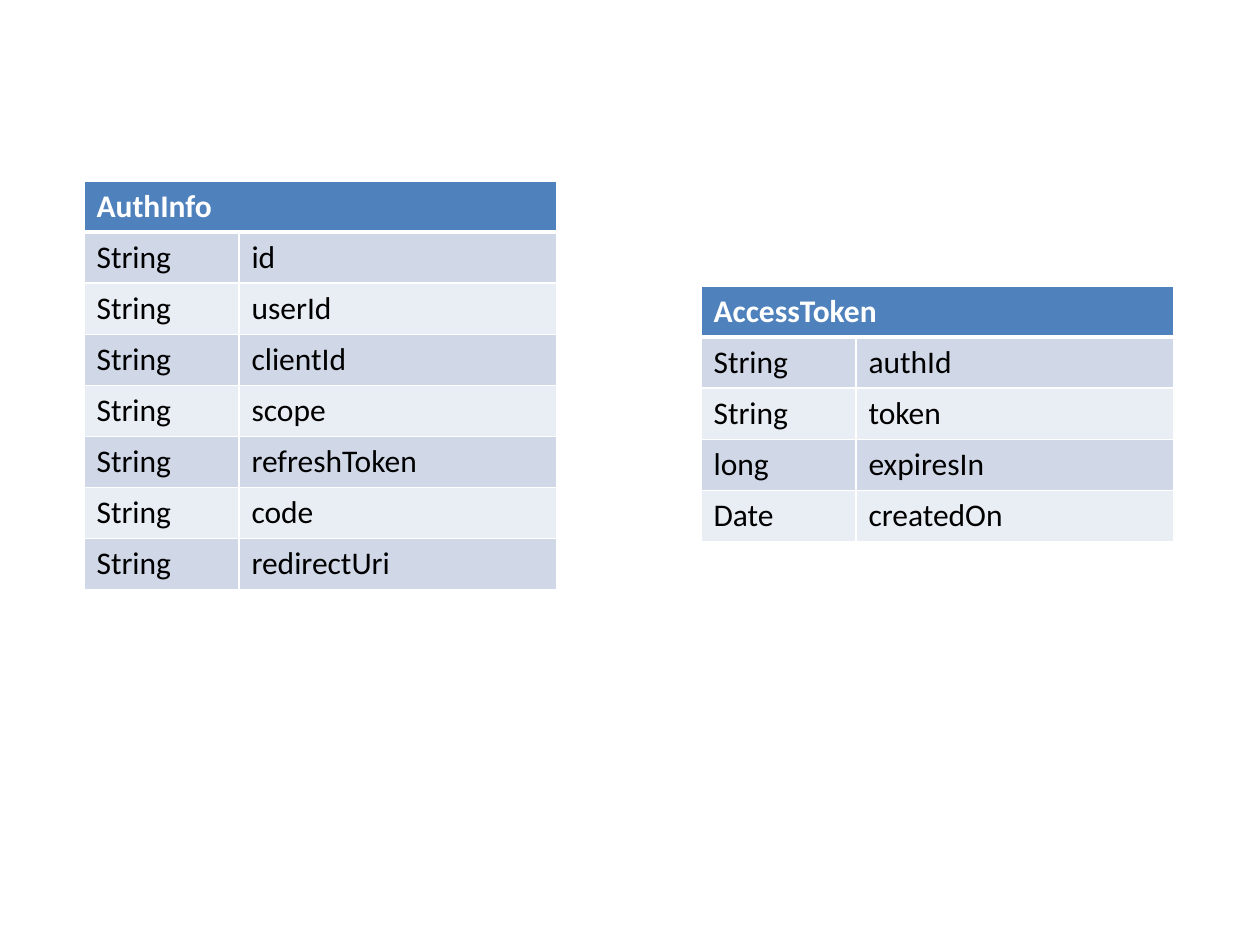
from lxml import etree
from pptx import Presentation
from pptx.dml.color import RGBColor
from pptx.oxml.ns import qn
from pptx.util import Emu, Pt

PIXELS_PER_INCH = 126
EMU_PER_INCH = 914400
FONT = "Calibri"
WHITE, BLACK = "FFFFFF", "000000"
HEADER_FILL = "4F81BD"
BAND_FILLS = ("D0D8E8", "E9EDF4")
COLUMN_WIDTHS = (155, 318)
ROW_HEIGHT = 51


def px(pixels):
    return Emu(round(pixels * EMU_PER_INCH / PIXELS_PER_INCH))


def color(value):
    return RGBColor.from_string(value)


def add_borders(cell, top, bottom):
    properties = cell._tc.get_or_add_tcPr()
    for side, points in (("L", 1), ("R", 1), ("T", top), ("B", bottom)):
        line = etree.SubElement(properties, qn(f"a:ln{side}"), w=str(Pt(points)))
        fill = etree.SubElement(line, qn("a:solidFill"))
        etree.SubElement(fill, qn("a:srgbClr"), val=WHITE)


def style_cell(cell, text, row):
    header = row == 0
    add_borders(cell, top=3 if row == 1 else 1, bottom=3 if header else 1)
    cell.fill.solid()
    cell.fill.fore_color.rgb = color(HEADER_FILL if header else BAND_FILLS[(row - 1) % 2])
    cell.text = text
    font = cell.text_frame.paragraphs[0].font
    font.name = FONT
    font.size = Pt(18)
    font.bold = header
    font.color.rgb = color(WHITE if header else BLACK)


def add_class_table(page, left, top, name, fields):
    rows = [(name, ""), *fields]
    frame = page.shapes.add_table(
        len(rows), len(COLUMN_WIDTHS), px(left), px(top),
        px(sum(COLUMN_WIDTHS)), px(ROW_HEIGHT * len(rows)),
    )
    table = frame.table
    for column, width in zip(table.columns, COLUMN_WIDTHS):
        column.width = px(width)
    for row, texts in enumerate(rows):
        table.rows[row].height = px(ROW_HEIGHT)
        for column, text in enumerate(texts):
            style_cell(table.cell(row, column), text, row)
    table.cell(0, 0).merge(table.cell(0, 1))


AUTH_FIELDS = [
    ("String", field)
    for field in ("id", "userId", "clientId", "scope", "refreshToken", "code", "redirectUri")
]
TOKEN_FIELDS = [
    ("String", "authId"),
    ("String", "token"),
    ("long", "expiresIn"),
    ("Date", "createdOn"),
]

deck = Presentation()
deck.slide_width, deck.slide_height = px(1260), px(945)
page = deck.slides.add_slide(deck.slide_layouts[6])
add_class_table(page, 84, 181, "AuthInfo", AUTH_FIELDS)
add_class_table(page, 701, 286, "AccessToken", TOKEN_FIELDS)
deck.save("out.pptx")
